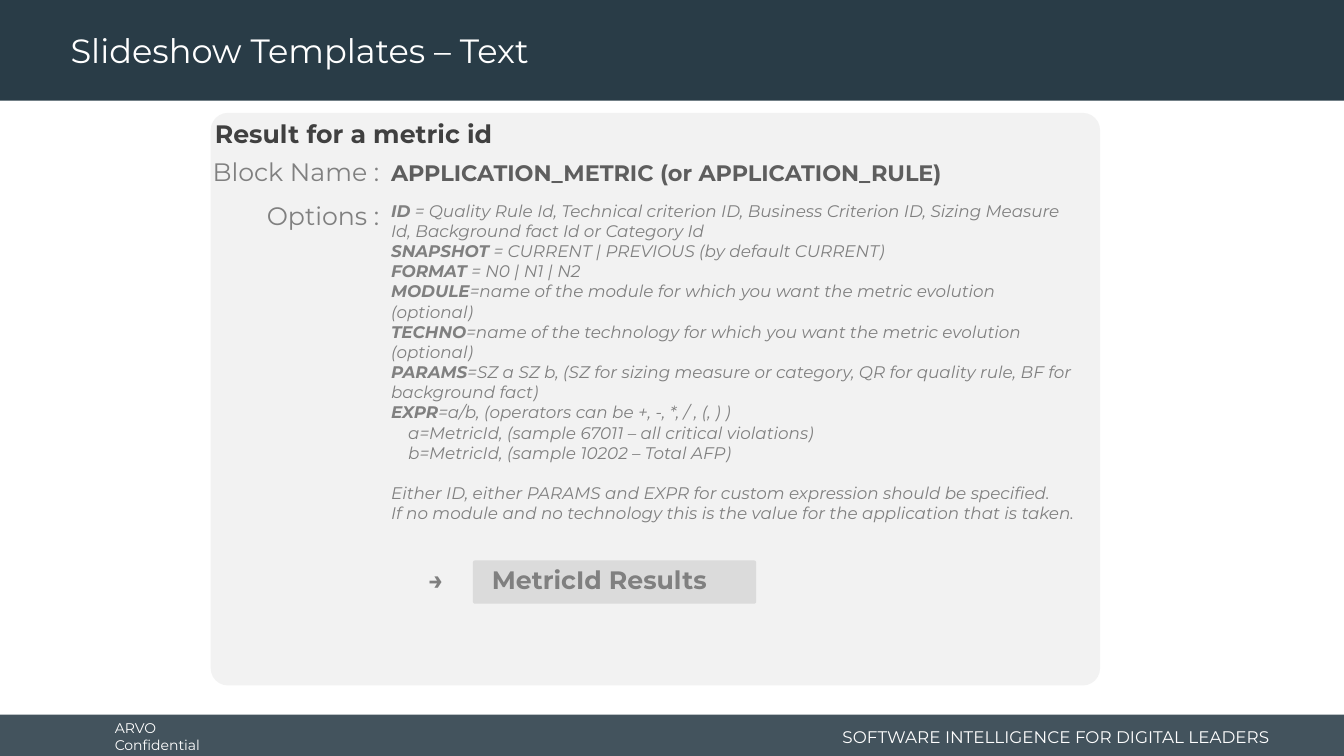
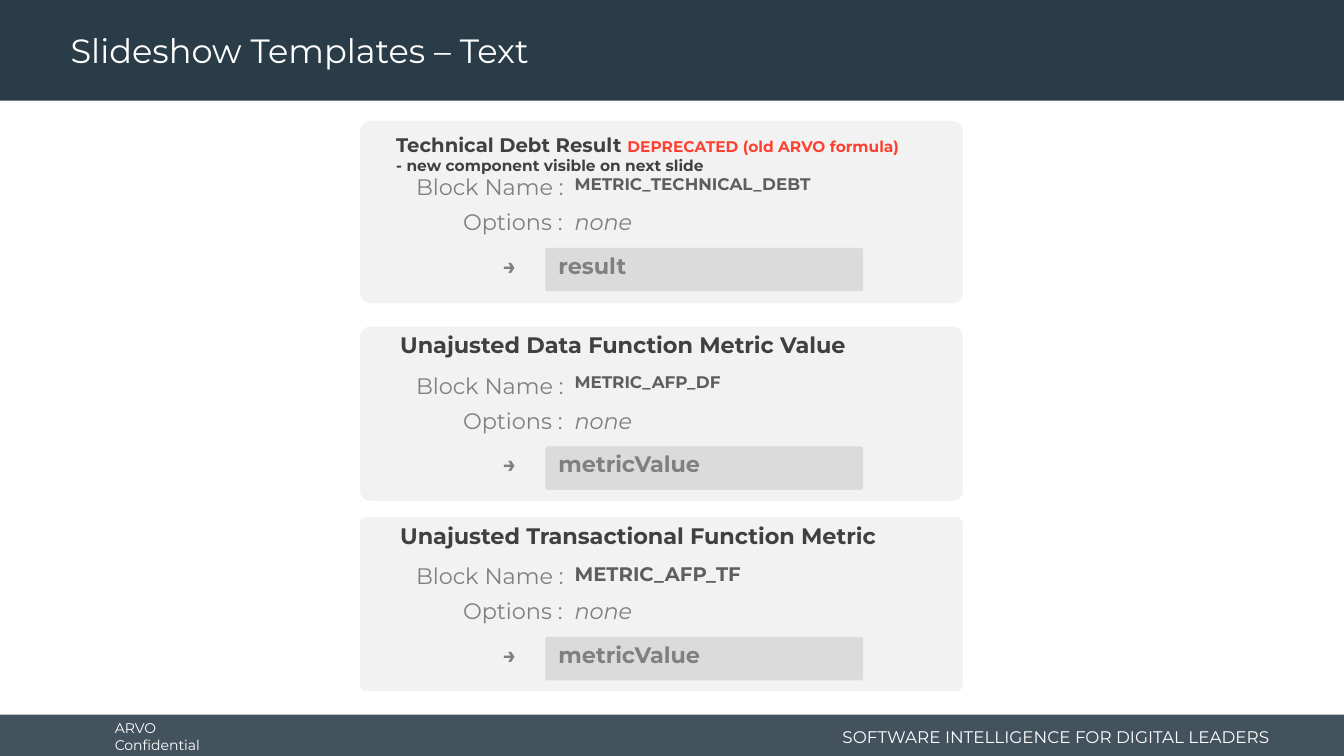
"""Build two slides that document the text blocks of a reporting template."""
from dataclasses import dataclass
from typing import NamedTuple, Optional, Sequence

from lxml.etree import SubElement
from pptx import Presentation
from pptx.dml.color import RGBColor
from pptx.enum.shapes import MSO_SHAPE as Shape
from pptx.enum.text import MSO_ANCHOR as Anchor, MSO_AUTO_SIZE as AutoSize, PP_ALIGN as Align
from pptx.oxml.ns import qn
from pptx.util import Inches, Pt

FONT = "Montserrat"
NAVY = RGBColor(0x29, 0x3C, 0x47)
WHITE = RGBColor(0xFF, 0xFF, 0xFF)
PANEL_GRAY = RGBColor(0xF2, 0xF2, 0xF2)
RESULT_GRAY = RGBColor(0xBF, 0xBF, 0xBF)
HEADING_GRAY = RGBColor(0x40, 0x40, 0x40)
BLOCK_GRAY = RGBColor(0x5E, 0x5E, 0x5E)
LABEL_GRAY = RGBColor(0x80, 0x80, 0x80)
WARNING_RED = RGBColor(0xFC, 0x41, 0x32)
SLIDE_WIDTH = 13.33
TITLE = "Slideshow Templates – Text"
HEADING_INSET = 0.2


class Box(NamedTuple):
    left: float
    top: float
    width: float
    height: float

    def lengths(self) -> list:
        return [Inches(value) for value in self]


class Style(NamedTuple):
    size: float
    color: RGBColor
    bold: bool = False
    italic: bool = False


class Span(NamedTuple):
    text: str
    bold: Optional[bool] = None
    size: Optional[float] = None
    color: Optional[RGBColor] = None


@dataclass(frozen=True)
class Line:
    spans: Sequence[Span]
    style: Style
    indent: float = 0
    space_before: float = 0


@dataclass(frozen=True)
class MetricCard:
    panel: Box
    corner: float
    heading_at: tuple
    heading: Sequence[Line]
    label_top: float
    block: str
    block_size: float
    result: str


OPTION = Style(12, LABEL_GRAY, italic=True)


def plain(text: str, style: Style) -> list:
    """Return a text of one line in one style."""
    return [Line([Span(text)], style)]


def option(name: str, meaning: str) -> Line:
    """Return an option line with its name in bold."""
    return Line([Span(name, bold=True), Span(meaning)], OPTION)


def style_font(font, style: Style) -> None:
    """Apply a style to a font."""
    font.name = FONT
    font.size = Pt(style.size)
    font.color.rgb = style.color
    font.bold = style.bold
    font.italic = style.italic


def add_block(shapes, box: Box, color: RGBColor, corner: Optional[float] = None,
              opacity: Optional[int] = None):
    """Add a flat rectangle, rounded when a corner is given."""
    kind = Shape.RECTANGLE if corner is None else Shape.ROUNDED_RECTANGLE
    block = shapes.add_shape(kind, *box.lengths())
    block.shadow.inherit = False
    block.line.fill.background()
    block.fill.solid()
    block.fill.fore_color.rgb = color
    if corner is not None:
        block.adjustments[0] = corner
    if opacity is not None:
        fill_color = block.element.spPr.find(f".//{qn('a:srgbClr')}")
        SubElement(fill_color, qn("a:alpha")).set("val", str(opacity * 1000))
    return block


def add_text(shapes, box: Box, lines: Sequence[Line], align: Align = Align.LEFT,
             wrap: bool = True, anchor: Anchor = Anchor.TOP, inset: float = 0.1):
    """Add a text box holding the given lines."""
    text_box = shapes.add_textbox(*box.lengths())
    frame = text_box.text_frame
    frame.word_wrap = wrap
    frame.vertical_anchor = anchor
    frame.margin_left = frame.margin_right = Inches(inset)
    for index, line in enumerate(lines):
        paragraph = frame.paragraphs[0] if index == 0 else frame.add_paragraph()
        paragraph.alignment = align
        if line.indent:
            paragraph._p.get_or_add_pPr().set("marL", str(Inches(line.indent)))
        if line.space_before:
            paragraph.space_before = Pt(line.space_before)
        style_font(paragraph.font, line.style)
        for span in line.spans:
            run = paragraph.add_run()
            run.text = span.text
            if span.bold is not None:
                run.font.bold = span.bold
            if span.size is not None:
                run.font.size = Pt(span.size)
            if span.color is not None:
                run.font.color.rgb = span.color
    return text_box


def add_label(shapes, text: str, top: float, right: float, size: float) -> None:
    """Add a right-aligned label that ends at the given edge."""
    width = 1.85 if size > 16 else 1.67
    add_text(shapes, Box(right - width, top, width, 0.4),
             plain(text, Style(size, LABEL_GRAY)), Align.RIGHT, wrap=False)


def add_result(shapes, bar: Box, arrow_left: float, text_left: float,
               text: str, size: float) -> None:
    """Add an arrow and the result bar it leads to."""
    style = Style(size, LABEL_GRAY, bold=True)
    top = bar.top - 0.01
    add_text(shapes, Box(arrow_left, top, 0.48, 0.44), plain("→", style))
    add_block(shapes, bar, RESULT_GRAY, corner=0.05, opacity=45)
    add_text(shapes, Box(text_left, top, 2.99, 0.44), plain(text, style))


def prepare_layout(layout, slide) -> None:
    """Give the layout its title place, bands and footers."""
    for placeholder in list(layout.placeholders):
        if placeholder.placeholder_format.idx:
            placeholder.element.getparent().remove(placeholder.element)
    title = layout.placeholders[0]
    title.left, title.top, title.width, title.height = Box(0.6, 0.04, 9.58, 0.96).lengths()
    shapes = slide.shapes
    bands = [
        add_block(shapes, Box(0, 7.09, SLIDE_WIDTH, 0.44), NAVY, opacity=88),
        add_block(shapes, Box(0, 0, SLIDE_WIDTH, 1), NAVY),
        add_text(shapes, Box(1.04, 7.11, 1.48, 0.4),
                 plain("ARVO Confidential", Style(10, WHITE)),
                 wrap=False, anchor=Anchor.MIDDLE),
        add_text(shapes, Box(8.11, 7.15, 4.58, 0.32),
                 plain("SOFTWARE INTELLIGENCE FOR DIGITAL LEADERS", Style(12, WHITE)),
                 Align.RIGHT, anchor=Anchor.MIDDLE),
    ]
    for position, band in enumerate(bands, start=2):
        layout.shapes.element.insert(position, band.element)


def set_title(slide) -> None:
    """Write and format the slide title."""
    frame = slide.shapes.title.text_frame
    frame.text = TITLE
    frame.auto_size = AutoSize.NONE
    frame.vertical_anchor = Anchor.MIDDLE
    paragraph = frame.paragraphs[0]
    paragraph.alignment = Align.LEFT
    paragraph.line_spacing = 0.9
    style_font(paragraph.font, Style(24, WHITE))


def add_metric_id(slide) -> None:
    """Describe the result for a metric id."""
    options = [
        option("ID", " = Quality Rule Id, Technical criterion ID, Business Criterion ID, "
                     "Sizing Measure Id, Background fact Id or Category Id"),
        option("SNAPSHOT", " = CURRENT | PREVIOUS (by default CURRENT)"),
        option("FORMAT", " = N0 | N1 | N2"),
        option("MODULE", "=name of the module for which you want the metric evolution (optional)"),
        option("TECHNO", "=name of the technology for which you want the metric evolution "
                         "(optional)"),
        option("PARAMS", "=SZ a SZ b, (SZ for sizing measure or category, QR for quality rule, "
                         "BF for background fact)"),
        option("EXPR", "=a/b, (operators can be +, -, *, / , (, ) )"),
        Line([Span("a=MetricId, (sample 67011 – all critical violations)")], OPTION, indent=0.17),
        Line([Span("b=MetricId, (sample 10202 – Total AFP)")], OPTION, indent=0.17),
        Line([Span("Either ID, either PARAMS and EXPR for custom expression should be "
                   "specified.")], OPTION, space_before=14.6),
        Line([Span("If no module and no technology this is the value for the application "
                   "that is taken.")], OPTION),
    ]
    shapes = slide.shapes.add_group_shape().shapes
    add_block(shapes, Box(2.09, 1.12, 8.82, 5.68), PANEL_GRAY, corner=0.03)
    add_text(shapes, Box(1.93, 1.12, 4.72, 0.4),
             plain("Result for a metric id", Style(18, HEADING_GRAY, bold=True)),
             inset=HEADING_INSET)
    add_text(shapes, Box(3.78, 1.53, 6.19, 0.4),
             plain("APPLICATION_METRIC (or APPLICATION_RULE)", Style(16, BLOCK_GRAY, bold=True)))
    add_label(shapes, "Block Name :", 1.5, 3.86, 18)
    add_label(shapes, "Options :", 1.94, 3.86, 18)
    add_text(shapes, Box(3.78, 1.94, 6.98, 3.5), options)
    add_result(shapes, Box(4.69, 5.56, 2.81, 0.43), 4.15, 4.78, "MetricId Results", 18)


def add_metric_card(slide, card: MetricCard) -> None:
    """Describe a metric block that has no options."""
    shapes = slide.shapes.add_group_shape().shapes
    top = card.label_top
    add_block(shapes, card.panel, PANEL_GRAY, corner=card.corner)
    add_text(shapes, Box(*card.heading_at, 5.8, 0.4), card.heading, inset=HEADING_INSET)
    add_text(shapes, Box(5.6, top, 3.27, 0.3),
             plain(card.block, Style(card.block_size, BLOCK_GRAY, bold=True)))
    add_label(shapes, "Block Name :", top, 5.69, 16)
    add_label(shapes, "Options :", top + 0.35, 5.68, 16)
    add_text(shapes, Box(5.6, top + 0.35, 3.03, 0.37),
             plain("none", Style(16, LABEL_GRAY, italic=True)))
    add_result(shapes, Box(5.41, top + 0.79, 3.15, 0.43), 4.89, 5.44, card.result, 16)


def main() -> None:
    """Build and save the presentation."""
    heading = Style(16, HEADING_GRAY, bold=True)
    cards = [
        MetricCard(
            Box(3.57, 1.2, 5.98, 1.81), 0.06, (3.73, 1.27),
            [Line([Span("Technical Debt Result ", size=14),
                   Span("DEPRECATED (old ARVO formula)", color=WARNING_RED)],
                  Style(11, HEADING_GRAY, bold=True)),
             Line([Span("- new component visible on next slide")],
                  Style(11, HEADING_GRAY, bold=True))],
            1.67, "METRIC_TECHNICAL_DEBT", 12, "result"),
        MetricCard(
            Box(3.57, 3.24, 5.98, 1.73), 0.06, (3.77, 3.24),
            plain("Unajusted Data Function Metric Value", heading),
            3.64, "METRIC_AFP_DF", 12, "metricValue"),
        MetricCard(
            Box(3.57, 5.13, 5.98, 1.73), 0.04, (3.77, 5.13),
            plain("Unajusted Transactional Function Metric", heading),
            5.53, "METRIC_AFP_TF", 14, "metricValue"),
    ]
    presentation = Presentation()
    presentation.slide_width = Inches(SLIDE_WIDTH)
    presentation.slide_height = Inches(7.5)
    layout = presentation.slide_layouts.get_by_name("Title Only")
    metric_id_slide, metric_cards_slide = [
        presentation.slides.add_slide(layout) for _ in range(2)]
    prepare_layout(layout, metric_id_slide)
    for slide in (metric_id_slide, metric_cards_slide):
        set_title(slide)
    add_metric_id(metric_id_slide)
    for card in cards:
        add_metric_card(metric_cards_slide, card)
    presentation.save("out.pptx")


if __name__ == "__main__":
    main()
